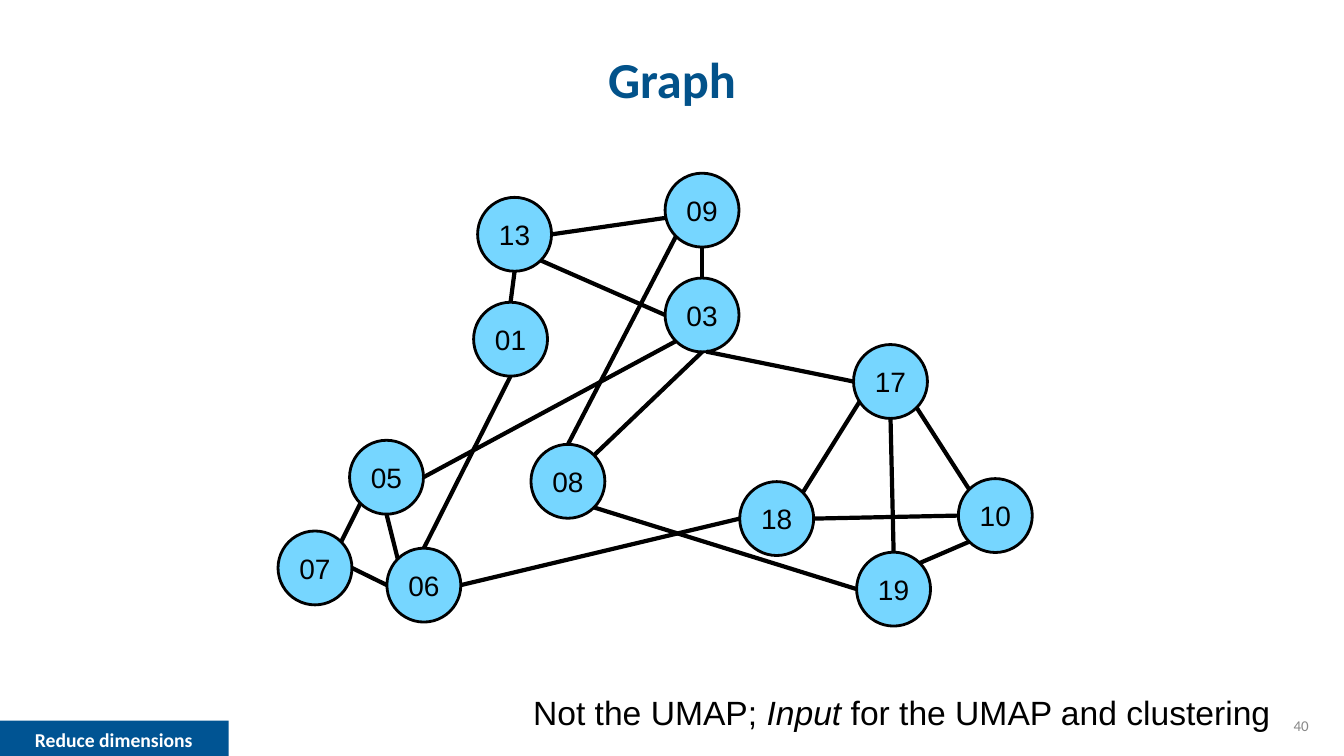
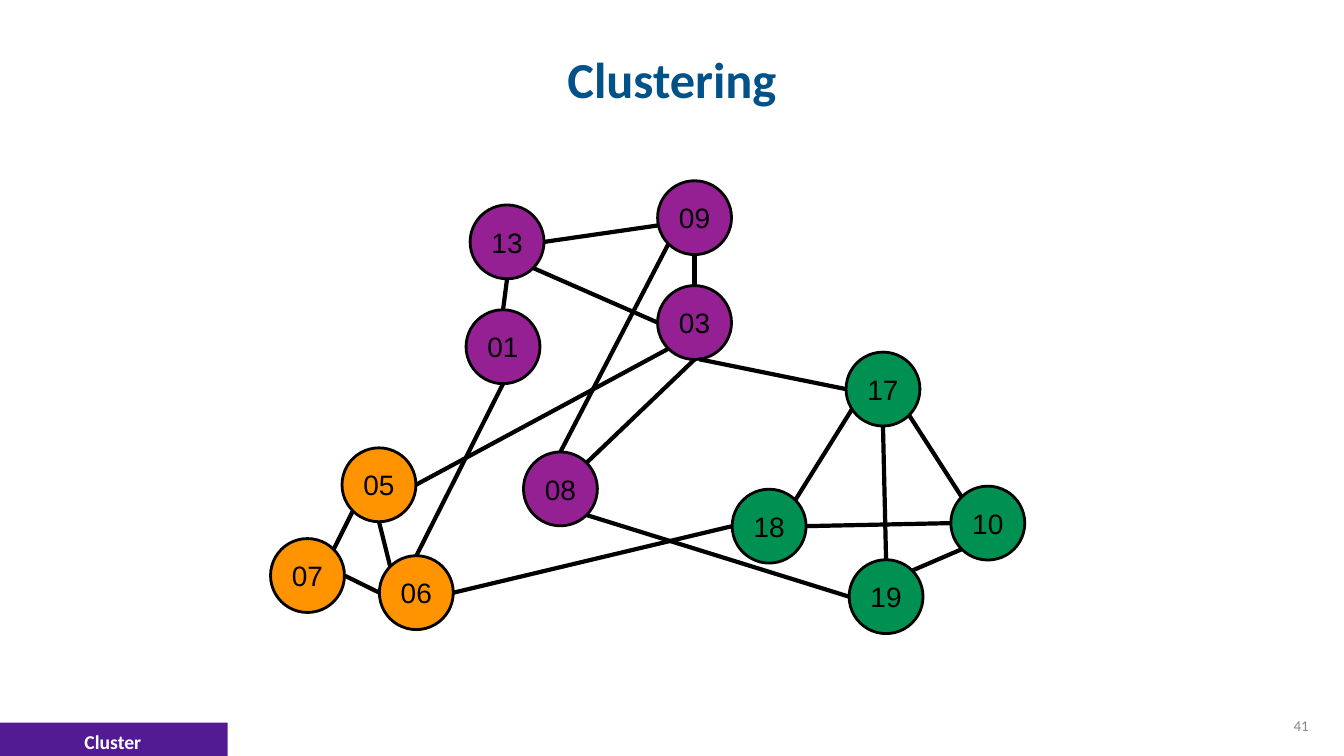
import math
from pptx import Presentation
from pptx import util as u
from pptx.dml.color import RGBColor
from pptx.enum import shapes, text
from pptx.oxml.ns import qn

BLACK = RGBColor(0x00, 0x00, 0x00)
WHITE = RGBColor(0xFF, 0xFF, 0xFF)
GREY = RGBColor(0x88, 0x88, 0x88)
TITLE_BLUE = RGBColor(0x02, 0x52, 0x8A)
BAND_BLUE = RGBColor(0x00, 0x54, 0x93)
BAND_PURPLE = RGBColor(0x52, 0x1B, 0x93)
SKY = RGBColor(0x76, 0xD6, 0xFF)
PLUM = RGBColor(0x94, 0x20, 0x93)
ORANGE = RGBColor(0xFF, 0x93, 0x00)
GREEN = RGBColor(0x00, 0x90, 0x51)

prs = Presentation()
prs.slide_width, prs.slide_height = u.Inches(13.33), u.Inches(7.5)
COL, ROW = prs.slide_width / 100, prs.slide_height / 100
RADIUS = 2.75 * COL

TITLE = {"name": "Calibri", "size": u.Pt(36), "bold": True}
BAND = {"name": "Calibri", "size": u.Pt(14), "bold": True}
NUMBER = {"name": "Calibri", "size": u.Pt(10.7)}
NODE = {"name": "Arial", "size": u.Pt(20)}
NOTE = {"name": "Arial", "size": u.Pt(24)}

NODES = {
    "01": (37.99, 44.87), "03": (52.24, 41.67), "05": (28.76, 63.13),
    "07": (23.44, 75.13), "06": (31.54, 77.4), "10": (74.06, 68.2),
    "09": (52.24, 27.8), "08": (42.26, 63.67), "13": (38.29, 31),
    "17": (66.26, 50.47), "19": (66.49, 77.93), "18": (57.79, 68.6),
}
EDGES = [
    ("13", 90, "01", 270), ("03", 180, "13", 45), ("13", 0, "09", 168),
    ("03", 270, "09", 90), ("03", 83, "17", 180), ("17", 90, "19", 270),
    ("17", 147, "18", 315), ("18", 0, "10", 180), ("17", 45, "10", 225),
    ("10", 135, "19", 315), ("19", 180, "08", 45), ("01", 90, "06", 270),
    ("05", 90, "06", 225), ("05", 135, "07", 315), ("07", 0, "06", 180),
    ("03", 135, "05", 0), ("03", 90, "08", 315), ("09", 135, "08", 270),
    ("06", 0, "18", 180),
]
CLUSTERS = {
    PLUM: ["01", "03", "08", "09", "13"],
    ORANGE: ["05", "06", "07"],
    GREEN: ["10", "17", "18", "19"],
}

SLIDES = [
    {"title": "Graph", "number": "40", "band": "Reduce dimensions",
     "band_fill": BAND_BLUE, "band_at": (-0.08, 95.33), "shift": (0, 0),
     "fills": {n: SKY for n in NODES},
     "note": [("Not the UMAP; ", False), ("Input", True),
              (" for the UMAP and clustering", False)]},
    {"title": "Clustering", "number": "41", "band": "Cluster",
     "band_fill": BAND_PURPLE, "band_at": (-0.15, 95.6), "shift": (-0.56, 1),
     "fills": {n: c for c, names in CLUSTERS.items() for n in names},
     "note": []},
]


def write(sp, runs, fmt, color, align, anchor=text.MSO_ANCHOR.MIDDLE):
    tf = sp.text_frame
    tf.word_wrap, tf.vertical_anchor = True, anchor
    p = tf.paragraphs[0]
    p.alignment = align
    for words, italic in runs:
        r = p.add_run()
        r.text = words
        for key, value in {**fmt, "italic": italic}.items():
            setattr(r.font, key, value)
        r.font.color.rgb = color


def box(parent, left, top, width, height, kind=None, fill=None):
    at = [int(v) for v in (left * COL, top * ROW, width * COL, height * ROW)]
    if kind is None:
        return parent.add_textbox(*at)
    sp = parent.add_shape(kind, *at)
    sp.shadow.inherit = False
    sp.fill.solid()
    sp.fill.fore_color.rgb = fill
    sp.line.fill.background()
    return sp


CENTER, LEFT, RIGHT = text.PP_ALIGN.CENTER, text.PP_ALIGN.LEFT, text.PP_ALIGN.RIGHT
TOP = text.MSO_ANCHOR.TOP
SIDE = 2 * RADIUS

for page in SLIDES:
    s = prs.slides.add_slide(prs.slide_layouts[6])

    sp = box(s.shapes, 86.27, 94.13, 11.85, 5.07)
    write(sp, [(page["number"], False)], NUMBER, GREY, RIGHT, TOP)
    sp = box(s.shapes, 0, 2, 100, 16.67)
    write(sp, [(page["title"], False)], TITLE, TITLE_BLUE, CENTER)
    sp = box(s.shapes, *page["band_at"], 17.1, 5.07,
             shapes.MSO_SHAPE.RECTANGLE, page["band_fill"])
    sp.text_frame.margin_top = sp.text_frame.margin_bottom = u.Inches(0.1)
    write(sp, [(page["band"], False)], BAND, WHITE, CENTER)

    graph = s.shapes.add_group_shape().shapes
    dx, dy = page["shift"]
    centers = {n: ((x + dx) * COL, (y + dy) * ROW) for n, (x, y) in NODES.items()}
    for name, (x, y) in centers.items():
        sp = box(graph, (x - RADIUS) / COL, (y - RADIUS) / ROW, SIDE / COL, SIDE / ROW,
                 shapes.MSO_SHAPE.OVAL, page["fills"][name])
        sp.line.color.rgb, sp.line.width = BLACK, u.Pt(2)
        write(sp, [(name, False)], NODE, BLACK, CENTER)

    for a, a_deg, b, b_deg in EDGES:
        ends = []
        for name, deg in ((a, a_deg), (b, b_deg)):
            x, y = centers[name]
            turn = math.radians(deg)
            ends += [int(x + RADIUS * math.cos(turn)), int(y + RADIUS * math.sin(turn))]
        edge = graph.add_connector(shapes.MSO_CONNECTOR.STRAIGHT, *ends)
        edge.line.color.rgb, edge.line.width = BLACK, u.Pt(3)
        sp_pr = edge.line._get_or_add_ln().getparent()
        sp_pr.append(sp_pr.makeelement(qn("a:effectLst"), {}))

    if page["note"]:
        sp = box(s.shapes, 38.93, 90.8, 61.07, 6.67)
        write(sp, page["note"], NOTE, BLACK, LEFT, TOP)

prs.save("out.pptx")
